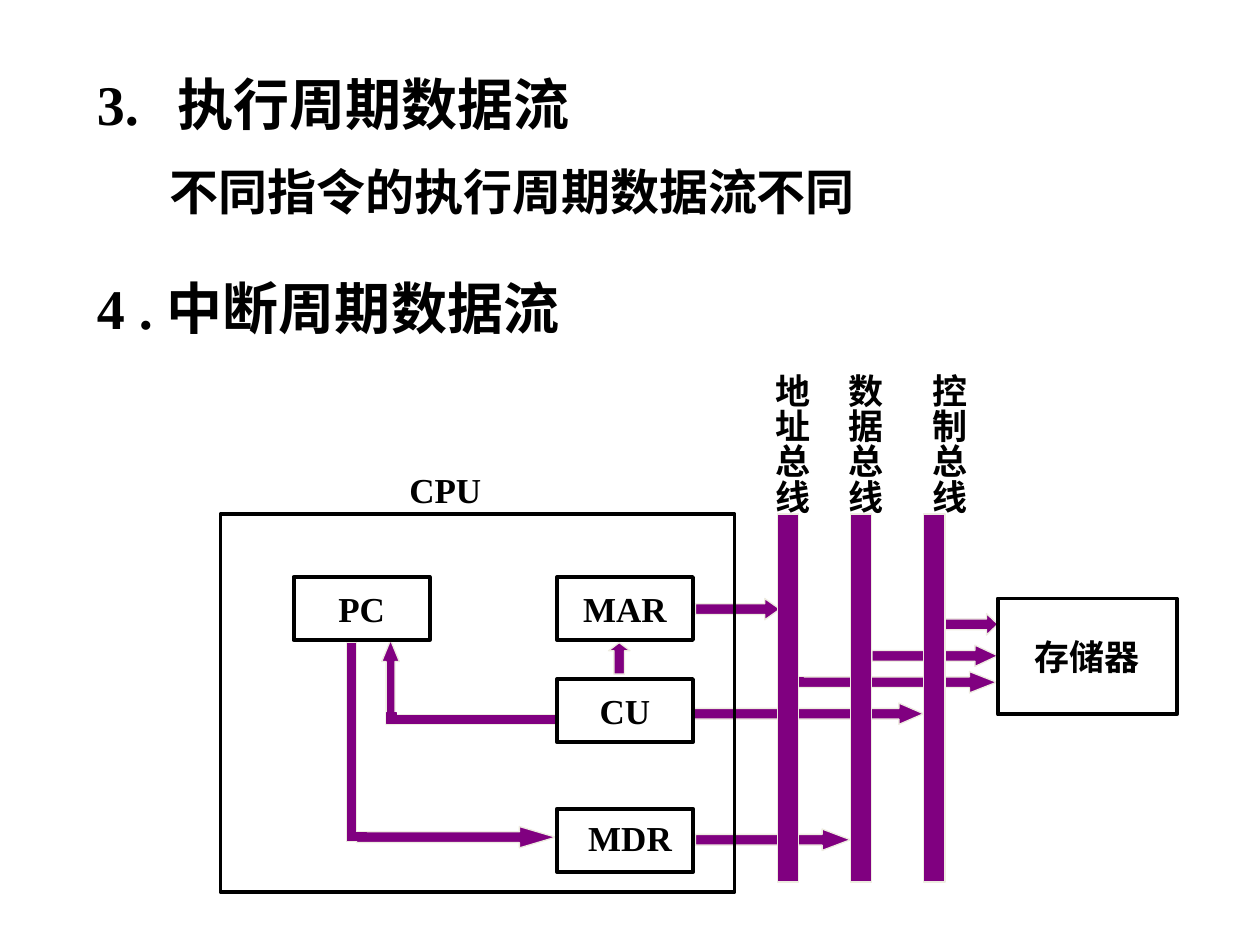
"""Build the slide on data flow in the execute and interrupt cycles."""
from lxml import etree
from pptx import Presentation
from pptx.dml.color import RGBColor
from pptx.enum.shapes import MSO_SHAPE
from pptx.enum.text import MSO_ANCHOR, MSO_AUTO_SIZE, PP_ALIGN
from pptx.oxml.ns import qn
from pptx.util import Inches, Pt

RECT = MSO_SHAPE.RECTANGLE
RIGHT = MSO_SHAPE.RIGHT_ARROW
UP = MSO_SHAPE.UP_ARROW
MIDDLE = MSO_ANCHOR.MIDDLE
CENTER = PP_ALIGN.CENTER
GROW = MSO_AUTO_SIZE.SHAPE_TO_FIT_TEXT

FONT = "Times New Roman"
COLORS = {"ink": "000000", "flow": "800080", "edge": "EEECE1"}

HEADS = [
    ("3.\t执行周期数据流", (0.67, 0.5, 6.25, 0.63), 32),
    ("4 . 中断周期数据流", (0.67, 2.12, 6.25, 0.63), 32),
    ("不同指令的执行周期数据流不同", (1.25, 1.23, 5.83, 0.57), 28),
]
ARROWS = [
    (RIGHT, (5.52, 4.75, 0.67, 0.17), 0.71),
    (RIGHT, (2.83, 6.56, 1.58, 0.17), 1.69),
    (RIGHT, (5.52, 6.58, 1.23, 0.17), 1.32),
    (RIGHT, (6.92, 5.12, 1, 0.17), 1.07),
    (RIGHT, (5.5, 5.58, 1.83, 0.17), 1.15),
    (RIGHT, (6.33, 5.33, 1.58, 0.17), 1.27),
    (UP, (3.03, 5.08, 0.14, 0.67), 1.22),
    (UP, (4.83, 5.1, 0.17, 0.25), 0.38),
    (RIGHT, (7.42, 4.87, 0.5, 0.17), 0.53),
]
STEMS = [(2.75, 5.1, 0.08, 1.58), (3.11, 5.67, 1.3, 0.08)]
JOINTS = [
    (2.81, 6.61, 0.1, 0.06),
    (6.3, 5.38, 0.08, 0.05),
    (3.07, 5.66, 0.08, 0.08),
]
BUSES = [("地址总线", 6.17, 5.97), ("数据总线", 6.75, 6.55), ("控制总线", 7.33, 7.22)]
UNITS = [
    ("", (1.75, 4.08, 4.08, 3)),
    ("", (4.42, 6.42, 1.08, 0.5)),
    ("CU", (4.42, 5.39, 1.08, 0.5)),
    ("MAR", (4.42, 4.58, 1.08, 0.5)),
    ("PC", (2.33, 4.58, 1.08, 0.5)),
    ("存储器", (7.92, 4.75, 1.42, 0.92)),
]
LABELS = [("MDR", (4.57, 6.43, 0.87, 0.43)), ("CPU", (3.15, 3.67, 0.77, 0.43))]


def color(name):
    """Return a named colour."""
    return RGBColor.from_string(COLORS[name])


def place(at):
    """Turn left, top, width and height into lengths."""
    return [Inches(n) for n in at]


def write(para, text, size):
    """Add one bold run to a paragraph."""
    run = para.add_run()
    run.text = text
    run.font.name = FONT
    run.font.size = Pt(size)
    run.font.bold = True
    run.font.color.rgb = color("ink")


def add_tab(para, pos):
    """Set one left tab stop on a paragraph."""
    stops = etree.SubElement(para._p.get_or_add_pPr(), qn("a:tabLst"))
    etree.SubElement(stops, qn("a:tab"), pos=str(Inches(pos)), algn="l")


def add_label(slide, text, at, size=20, wrap=False, upright=False):
    """Add a text box, with its text running downwards if upright."""
    frame = slide.shapes.add_textbox(*place(at)).text_frame
    frame.word_wrap = wrap
    frame.auto_size = GROW
    if upright:
        frame._txBody.bodyPr.set("vert", "eaVert")
    para = frame.paragraphs[0]
    if "\t" in text:
        add_tab(para, 0.64)
    write(para, text, size)


def add_block(slide, at, kind=RECT, head=None, edge="edge"):
    """Add a filled bar, or an arrow with the given head length."""
    shape = slide.shapes.add_shape(kind, *place(at))
    shape.shadow.inherit = False
    if head:
        shape.adjustments[0] = 0.5
        shape.adjustments[1] = head
    shape.fill.solid()
    shape.fill.fore_color.rgb = color("flow")
    shape.line.color.rgb = color(edge)
    shape.line.width = Pt(0.75)


def add_unit(slide, text, at):
    """Add an outlined box with a centred name."""
    shape = slide.shapes.add_shape(RECT, *place(at))
    shape.shadow.inherit = False
    shape.fill.background()
    shape.line.color.rgb = color("ink")
    shape.line.width = Pt(2.25)
    if text:
        frame = shape.text_frame
        frame.word_wrap = False
        frame.vertical_anchor = MIDDLE
        para = frame.paragraphs[0]
        para.alignment = CENTER
        write(para, text, 20)


def main():
    """Build and save the slide."""
    deck = Presentation()
    deck.slide_width, deck.slide_height = Inches(10), Inches(7.5)
    slide = deck.slides.add_slide(deck.slide_layouts[6])
    for text, at, size in HEADS:
        add_label(slide, text, at, size, wrap=True)
    for at in STEMS:
        add_block(slide, at)
    for kind, at, head in ARROWS:
        add_block(slide, at, kind, head)
    for at in JOINTS:
        add_block(slide, at, edge="flow")
    for text, left, side in BUSES:
        add_block(slide, (left, 4.08, 0.17, 2.92))
        add_label(slide, text, (side, 2.87, 0.53, 1.22), upright=True)
    for text, at in UNITS:
        add_unit(slide, text, at)
    for text, at in LABELS:
        add_label(slide, text, at)
    deck.save("out.pptx")


if __name__ == "__main__":
    main()
